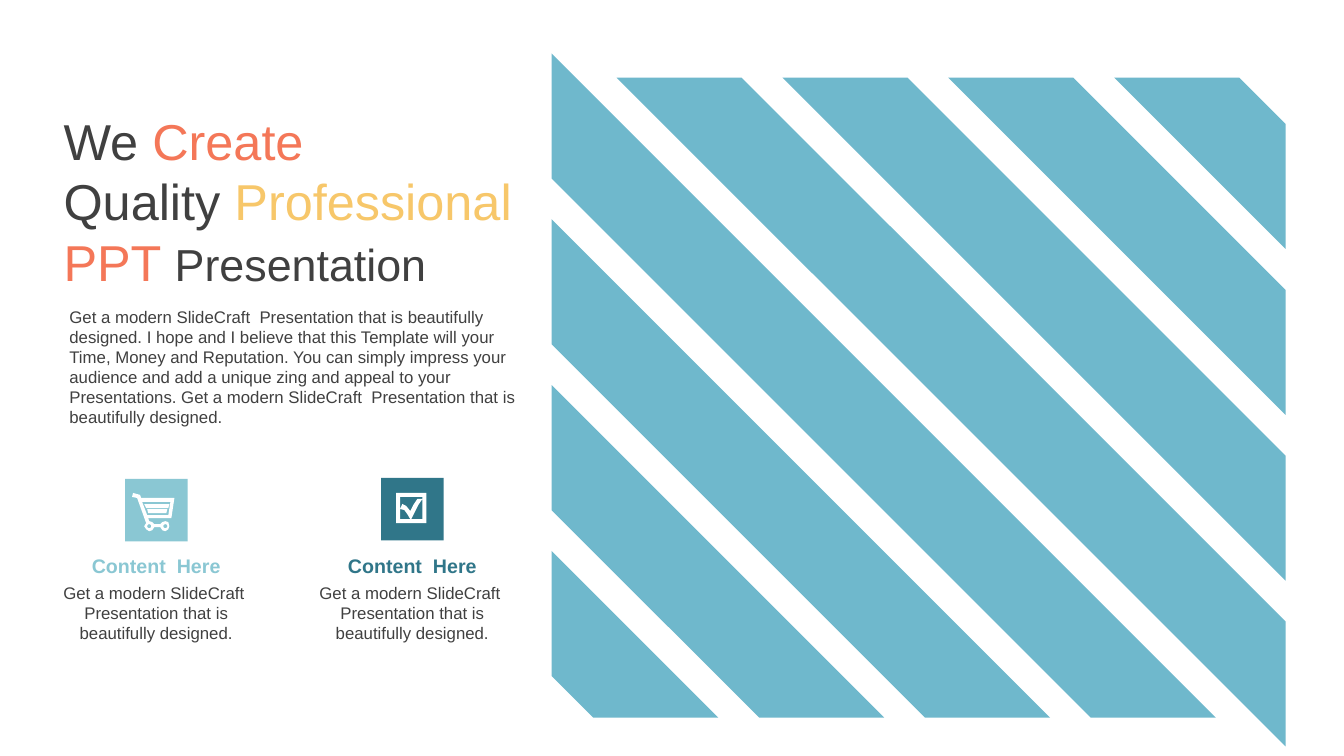
from math import cos, pi, sin

from pptx import Presentation
from pptx.dml.color import RGBColor
from pptx.enum.shapes import MSO_SHAPE
from pptx.enum.text import MSO_ANCHOR, PP_ALIGN
from pptx.util import Inches, Pt

RECT = MSO_SHAPE.RECTANGLE
TOP, MIDDLE = MSO_ANCHOR.TOP, MSO_ANCHOR.MIDDLE
LEFT, CENTER = PP_ALIGN.LEFT, PP_ALIGN.CENTER

FONT = "Arial"
DARK, CORAL, YELLOW, WHITE = "404040", "F47758", "F7C76A", "FFFFFF"
STRIPE, SKY, TEAL = "6FB8CC", "8AC7D3", "307689"

HEADLINE = [
    [("We ", 36, DARK), ("Create", 36, CORAL)],
    [("Quality ", 36, DARK), ("Professional", 36, YELLOW)],
    [("PPT ", 36, CORAL), ("Presentation", 32, DARK)],
]
PITCH = "Get a modern SlideCraft  Presentation that is beautifully designed."
INTRO = (
    f"{PITCH} I hope and I believe that this Template will your Time, Money and "
    "Reputation. You can simply impress your audience and add a unique zing and "
    f"appeal to your Presentations. {PITCH}"
)

# Icon outlines in inches on the slide
CHECKBOX = [
    [(3.93, 4.89), (4.23, 4.89), (4.23, 5.19), (3.93, 5.19)],
    [(3.97, 4.93), (3.97, 5.15), (4.07, 5.15), (4.04, 5.1), (4.01, 5.06),
     (3.97, 5.05), (3.99, 5), (4.03, 5.02), (4.07, 5.07), (4.1, 5.01),
     (4.14, 4.95), (4.19, 4.95), (4.15, 5.01), (4.08, 5.15), (4.19, 5.15),
     (4.19, 4.93)],
]
CART_BODY = [
    [(1.32, 4.89), (1.39, 4.91), (1.4, 4.94), (1.73, 4.94), (1.7, 5.14),
     (1.47, 5.14), (1.48, 5.17), (1.51, 5.18), (1.53, 5.2), (1.59, 5.2),
     (1.61, 5.18), (1.64, 5.17), (1.67, 5.18), (1.68, 5.22), (1.67, 5.25),
     (1.64, 5.27), (1.61, 5.26), (1.59, 5.23), (1.53, 5.23), (1.51, 5.26),
     (1.48, 5.27), (1.45, 5.25), (1.43, 5.22), (1.45, 5.19), (1.36, 4.94),
     (1.31, 4.93)],
    [(1.41, 4.98), (1.46, 5.11), (1.67, 5.11), (1.69, 4.98)],
    [(1.43, 5), (1.45, 5.04), (1.67, 5.04), (1.68, 5)],
    [(1.46, 5.05), (1.47, 5.09), (1.65, 5.09), (1.66, 5.05)],
]


def rgb(color):
    return RGBColor.from_string(color)


def paint(shape, color):
    shape.shadow.inherit = False
    shape.fill.solid()
    shape.fill.fore_color.rgb = rgb(color)
    shape.line.fill.background()


def add_outline(slide, contours, color):
    """Draw closed contours as one freeform; inner contours become holes."""
    scaled = [[(Inches(x), Inches(y)) for x, y in contour] for contour in contours]
    builder = slide.shapes.build_freeform(*scaled[0][0])
    for number, contour in enumerate(scaled):
        if number:
            builder.move_to(*contour[0])
        builder.add_line_segments(contour[1:], close=True)
    paint(builder.convert_to_shape(), color)


def add_text(shapes, box, text, size, color, bold=False, align=LEFT, anchor=TOP):
    frame = shapes.add_textbox(*map(Inches, box)).text_frame
    frame.word_wrap = True
    frame.vertical_anchor = anchor
    paragraph = frame.paragraphs[0]
    paragraph.text = text
    paragraph.alignment = align
    font = paragraph.font
    font.name, font.size, font.bold = FONT, Pt(size), bold
    font.color.rgb = rgb(color)


def add_headline(slide):
    title = slide.shapes.title
    title.left, title.top = Inches(0.59), Inches(1.08)
    title.width, title.height = Inches(4.73), Inches(1.82)
    frame = title.text_frame
    frame.word_wrap = True
    frame.vertical_anchor = MIDDLE
    frame.margin_left = frame.margin_right = Inches(0.04)
    frame.margin_top = frame.margin_bottom = 0
    for number, words in enumerate(HEADLINE):
        line = frame.add_paragraph() if number else frame.paragraphs[0]
        line.alignment = LEFT
        line.font.name = FONT
        for text, size, color in words:
            run = line.add_run()
            run.text = text
            run.font.size = Pt(size)
            run.font.color.rgb = rgb(color)


def stripe_contours():
    """45 degree bands, evenly spaced, that end on the panel's edges."""
    left, top, right, bottom = 5.47, 0.77, 12.75, 7.12
    first, band, step = 3.7, 1.24, 1.645
    contours = []
    for number in range(-3, 5):
        low = max(first + number * step, left - bottom)
        high = min(first + number * step + band, right - top)
        if number <= 0:
            contours.append([(left, left - high), (bottom + high, bottom),
                             (bottom + low, bottom), (left, left - low)])
        else:
            contours.append([(top + low, top), (top + high, top),
                             (right, right - high), (right, right - low)])
    return contours


def wheel_hole(x, y, radius=0.02, sides=16):
    angles = [2 * pi * side / sides for side in range(sides)]
    return [(x + radius * cos(a), y + radius * sin(a)) for a in angles]


def add_feature(slide, left, tile_top, color, icon):
    captions = slide.shapes.add_group_shape().shapes
    add_text(captions, (left, 5.44, 2.4, 0.34), "Content  Here", 14, color,
             bold=True, align=CENTER, anchor=MIDDLE)
    add_text(captions, (left, 5.73, 2.4, 0.71), PITCH, 12, DARK, align=CENTER)
    tile = slide.shapes.add_shape(
        RECT, Inches(left + 0.89), Inches(tile_top), Inches(0.62), Inches(0.62))
    paint(tile, color)
    add_outline(slide, icon, WHITE)


def main():
    prs = Presentation()
    prs.slide_width, prs.slide_height = Inches(13.33), Inches(7.5)
    slide = prs.slides.add_slide(prs.slide_layouts[5])

    # Striped panel
    add_outline(slide, stripe_contours(), STRIPE)

    # Headline and introduction
    add_headline(slide)
    add_text(slide.shapes, (0.59, 2.99, 4.7, 1.31), INTRO, 12, DARK)

    # Two features with icons
    cart = CART_BODY + [wheel_hole(1.48, 5.22), wheel_hole(1.64, 5.22)]
    add_feature(slide, 0.35, 4.75, SKY, cart)
    add_feature(slide, 2.89, 4.74, TEAL, CHECKBOX)

    prs.save("out.pptx")


if __name__ == "__main__":
    main()
